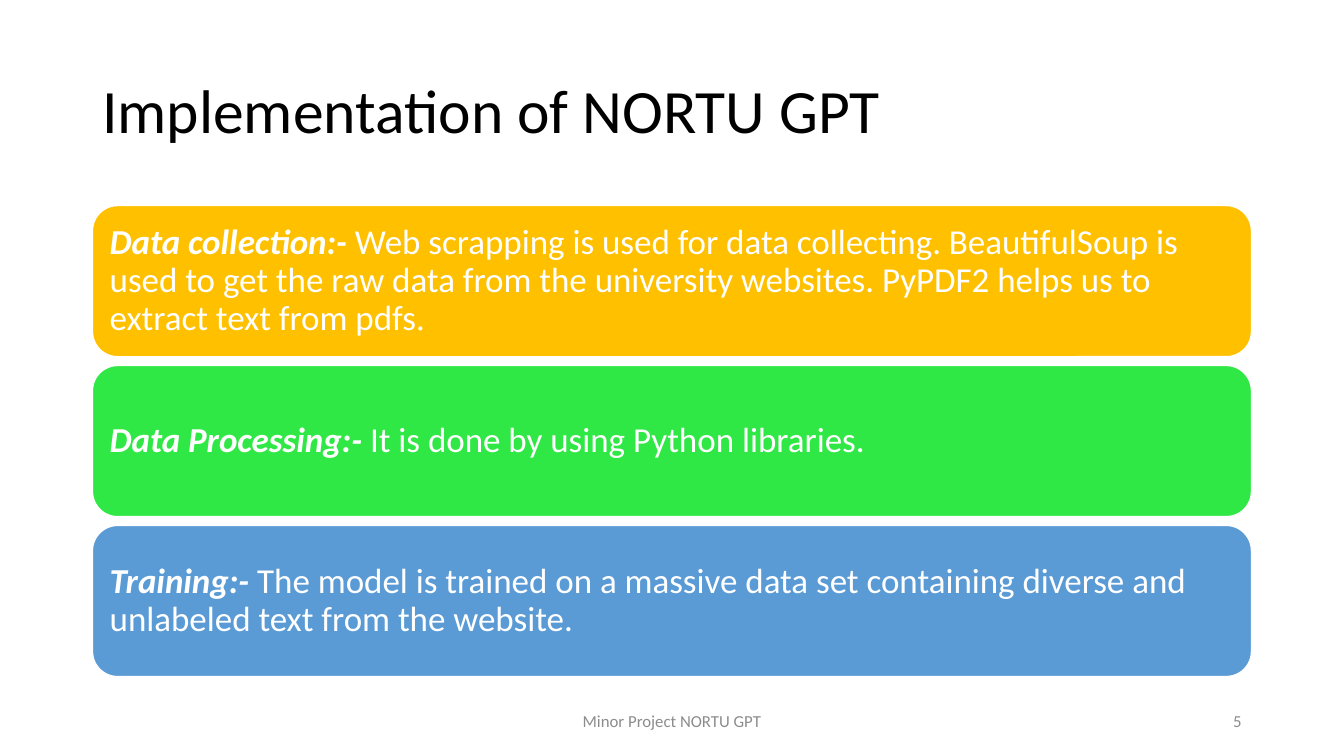
"""Build the slide on the three implementation steps."""
from dataclasses import dataclass

from pptx import Presentation
from pptx.dml.color import RGBColor
from pptx.enum.shapes import MSO_SHAPE
from pptx.enum.text import MSO_ANCHOR, PP_ALIGN
from pptx.slide import Slide
from pptx.util import Cm, Pt

ROUND = MSO_SHAPE.ROUNDED_RECTANGLE
MIDDLE = MSO_ANCHOR.MIDDLE
LEFT, CENTER, RIGHT = PP_ALIGN.LEFT, PP_ALIGN.CENTER, PP_ALIGN.RIGHT
FONT = "Calibri"
WHITE, BLACK, GREY = "FFFFFF", "000000", "8C8C8C"
EDGE, WIDTH = 2.33, 29.21
TOP, HEIGHT, PITCH = 5.18, 3.81, 4.03
INSET = 0.43


@dataclass
class Label:
    text: str
    left: float
    top: float
    width: float
    height: float
    size: int
    color: str
    align: PP_ALIGN
    space: float = 1.0


@dataclass
class Step:
    lead: str
    body: str
    fill: str
    end: str = ""


LABELS = [
    Label("Implementation of NORTU GPT", EDGE, 1.01, WIDTH, 3.68, 44, BLACK, LEFT, 0.9),
    Label("Minor Project NORTU GPT", 11.22, 17.65, 11.43, 1.02, 12, GREY, CENTER),
    Label("5", 23.92, 17.65, 7.62, 1.02, 12, GREY, RIGHT),
]
STEPS = [
    Step("Data collection:- ",
         "Web scrapping is used for data collecting. BeautifulSoup is used to get "
         "the raw data from the university websites. PyPDF2 helps us to extract "
         "text from pdfs", "FFC000", "."),
    Step("Data Processing:- ", "It is done by using Python libraries.", "30E845"),
    Step("Training:- ",
         "The model is trained on a massive data set containing diverse and "
         "unlabeled text from the website.", "5B9BD5"),
]


def color(code: str) -> RGBColor:
    return RGBColor.from_string(code)


def style(para, size: int, code: str, align: PP_ALIGN, space: float) -> None:
    para.alignment = align
    para.line_spacing = space
    para.font.size = Pt(size)
    para.font.color.rgb = color(code)


def add_label(slide: Slide, label: Label) -> None:
    box = slide.shapes.add_textbox(
        Cm(label.left), Cm(label.top), Cm(label.width), Cm(label.height))
    frame = box.text_frame
    frame.word_wrap = True
    frame.vertical_anchor = MIDDLE
    para = frame.paragraphs[0]
    para.add_run().text = label.text
    para.font.name = FONT
    style(para, label.size, label.color, label.align, label.space)


def add_step(slide: Slide, step: Step, top: float) -> None:
    card = slide.shapes.add_shape(ROUND, Cm(EDGE), Cm(top), Cm(WIDTH), Cm(HEIGHT))
    card.shadow.inherit = False
    card.fill.solid()
    card.fill.fore_color.rgb = color(step.fill)
    card.line.color.rgb = color(WHITE)
    card.line.width = Pt(1)
    frame = card.text_frame
    frame.word_wrap = True
    frame.vertical_anchor = MIDDLE
    frame.margin_left = frame.margin_right = Cm(INSET - 0.18)
    para = frame.paragraphs[0]
    style(para, 25, WHITE, LEFT, 0.9)
    lead = para.add_run()
    lead.text = step.lead
    lead.font.bold = lead.font.italic = True
    body = para.add_run()
    body.text = step.body
    if step.end:
        end = para.add_run()
        end.text = step.end
        end.font.name = "Times New Roman"
        lead.font.name = body.font.name = FONT
    else:
        para.font.name = FONT


def main() -> None:
    deck = Presentation()
    deck.slide_width, deck.slide_height = Cm(33.87), Cm(19.05)
    slide = deck.slides.add_slide(deck.slide_layouts[6])
    for label in LABELS:
        add_label(slide, label)
    for row, step in enumerate(STEPS):
        add_step(slide, step, TOP + row * PITCH)
    deck.save("out.pptx")


if __name__ == "__main__":
    main()
